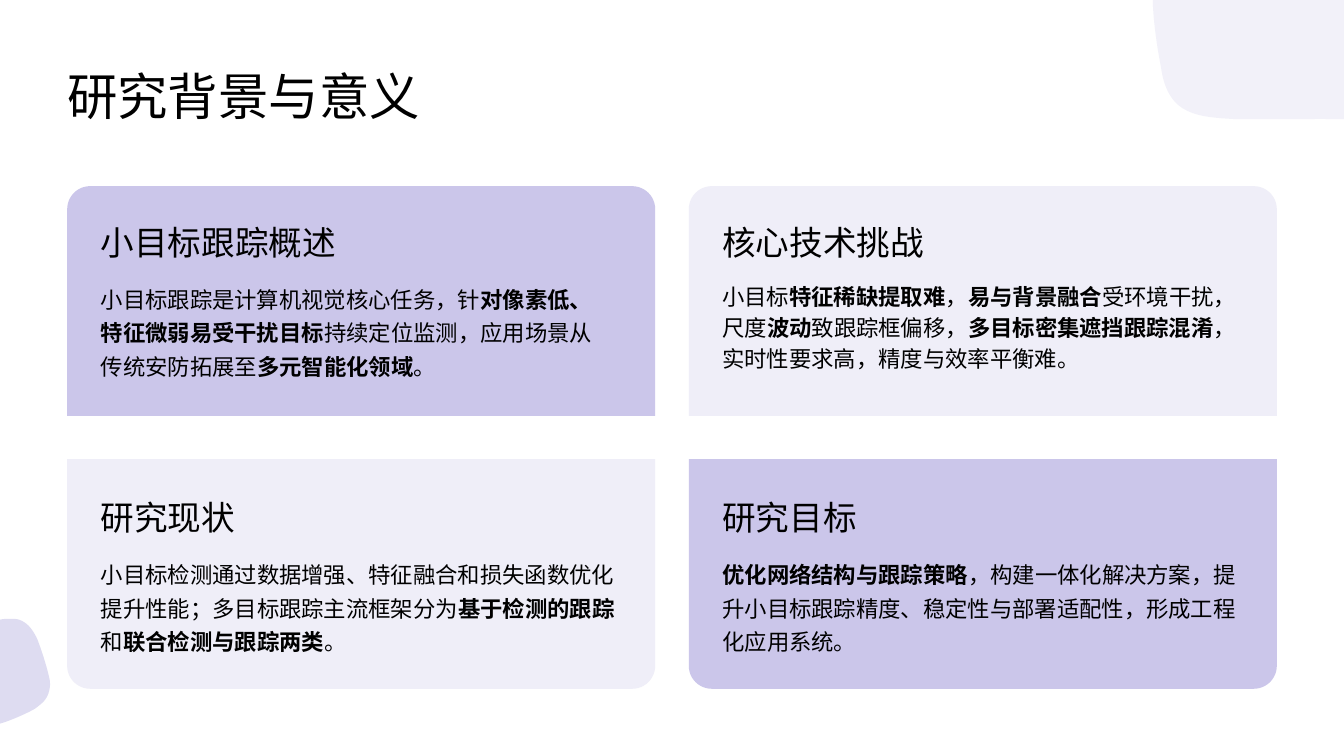
from lxml import etree
from pptx import Presentation
from pptx.dml.color import RGBColor
from pptx.enum import shapes, text
from pptx.oxml.ns import qn
from pptx.util import Pt

WHITE = RGBColor(0xFF, 0xFF, 0xFF)
BLACK = RGBColor(0, 0, 0)
VIOLET = RGBColor(0x5C, 0x52, 0xBA)
LILAC = RGBColor(0xCB, 0xC6, 0xEA)
PALE = RGBColor(0xEF, 0xEE, 0xF8)

SLIDE_W, SLIDE_H = 960, 540
CARD_W, CARD_H = 420, 164
CARD_GAP_X, CARD_GAP_Y = 24, 31
CARDS_LEFT, CARDS_TOP = 48, 133
CORNER = 0.1
CURVE_STEPS = 10

# Outlines in points from the blob's top left: one point is a line, three a Bézier curve.
LEFT_BLOB = [
    [(7.2, 0)],
    [(9.4, 0), (11.5, 0), (13.7, 0.7)],
    [(20.2, 2.9), (23.8, 8.6), (26.6, 14.4)],
    [(30.2, 23.8), (33.1, 33.1), (35.3, 42.5)],
    [(36, 46.1), (36, 49), (34.6, 53.3)],
    [(33.1, 57.6), (31, 59.8), (25.2, 64.1)],
    [(19.4, 67.7), (5.8, 73.4), (0, 74.9)],
    [(0, 0.7)],
    [(2.9, 0), (5, 0), (7.2, 0)],
]
RIGHT_BLOB = [
    [(0, 0)],
    [(136.6, 0)],
    [(136.6, 85)],
    [(120.5, 85), (96, 85), (57.6, 85)],
    [(43.9, 84.2), (28.1, 83.5), (18, 74.9)],
    [(10.1, 67.7), (7.2, 57.6), (5.8, 47.5)],
    [(2.9, 32.4), (0.7, 17.3), (0, 1.4)],
]

# Heading, line spacing, body width, body runs; "**" switches bold on and off.
CARDS = [
    ("小目标跟踪概述", 1.25, 360,
     "小目标跟踪是计算机视觉核心任务，针**对像素低、特征微弱易受干扰目标**"
     "持续定位监测，应用场景从传统安防拓展至**多元智能化领域**。"),
    ("核心技术挑战", 1.15, 360,
     "小目标**特征稀缺提取难**，**易与背景融合**受环境干扰，尺度**波动**致跟踪框偏移，"
     "**多目标密集遮挡跟踪混淆**，实时性要求高，精度与效率平衡难。"),
    ("研究现状", 1.25, 372,
     "小目标检测通过数据增强、特征融合和损失函数优化提升性能；多目标跟踪主流框架分为"
     "**基于检测的跟踪**和**联合检测与跟踪两类**。"),
    ("研究目标", 1.25, 372,
     "**优化网络结构与跟踪策略**，构建一体化解决方案，提升小目标跟踪精度、"
     "稳定性与部署适配性，形成工程化应用系统。"),
]


def paint(shape, color):
    shape.shadow.inherit = False
    shape.fill.solid()
    shape.fill.fore_color.rgb = color
    shape.line.fill.background()


def outline_points(segments):
    """Turn lines and curves into the points of one polygon."""
    points = []
    for segment in segments:
        if len(segment) == 1:
            points += segment
            continue
        corners = [points[-1], *segment]
        for step in range(1, CURVE_STEPS + 1):
            t = step / CURVE_STEPS
            weights = ((1 - t) ** 3, 3 * t * (1 - t) ** 2, 3 * t * t * (1 - t), t ** 3)
            points.append(tuple(sum(w * c[axis] for w, c in zip(weights, corners))
                                for axis in (0, 1)))
    return points


def add_blob(slide, left, top, segments, opacity):
    points = [(Pt(left + x), Pt(top + y)) for x, y in outline_points(segments)]
    builder = slide.shapes.build_freeform(*points[0])
    builder.add_line_segments(points[1:], close=True)
    blob = builder.convert_to_shape()
    paint(blob, VIOLET)
    color = blob.fill._xPr.find(qn("a:solidFill"))[0]
    etree.SubElement(color, qn("a:alpha"), val=str(opacity * 1000))


def add_text(slide, box, wording, size, spacing):
    frame = slide.shapes.add_textbox(*map(Pt, box)).text_frame
    frame_format = {"word_wrap": True, "vertical_anchor": text.MSO_ANCHOR.TOP,
                    "margin_left": 0, "margin_top": 0, "margin_right": 0, "margin_bottom": 0}
    for name, value in frame_format.items():
        setattr(frame, name, value)
    paragraph = frame.paragraphs[0]
    paragraph.line_spacing = spacing
    for index, part in enumerate(wording.split("**")):
        if part:
            run = paragraph.add_run()
            run.text = part
            run_format = {"name": "Arial", "size": Pt(size), "bold": index % 2 == 1}
            for name, value in run_format.items():
                setattr(run.font, name, value)
            run.font.color.rgb = BLACK


def add_card(slide, box, is_top, color, card):
    """Draw a card whose outer corners, above or below, are rounded."""
    heading, spacing, body_width, body = card
    left, top, _, _ = box
    panel = slide.shapes.add_shape(shapes.MSO_SHAPE.ROUND_2_SAME_RECTANGLE, *map(Pt, box))
    panel.adjustments[0] = CORNER if is_top else 0
    panel.adjustments[1] = 0 if is_top else CORNER
    paint(panel, color)
    text_left = left + 24
    heading_top = top + (22.5 if is_top else 24)
    add_text(slide, (text_left, heading_top, 372, 32), heading, 24, 1.11)
    add_text(slide, (text_left, heading_top + 44, body_width, 72), body, 16, spacing)


def add_cards(slide, left, top):
    for index, card in enumerate(CARDS):
        row, column = divmod(index, 2)
        box = (left + column * (CARD_W + CARD_GAP_X), top + row * (CARD_H + CARD_GAP_Y),
               CARD_W, CARD_H)
        add_card(slide, box, row == 0, LILAC if row == column else PALE, card)


def main():
    deck = Presentation()
    deck.slide_width, deck.slide_height = Pt(SLIDE_W), Pt(SLIDE_H)
    slide = deck.slides.add_slide(deck.slide_layouts[6])
    slide.background.fill.solid()
    slide.background.fill.fore_color.rgb = WHITE
    add_blob(slide, 0, 442, LEFT_BLOB, 20)
    add_blob(slide, 823.4, 0, RIGHT_BLOB, 8)
    add_text(slide, (CARDS_LEFT, 42, 864, 48), "研究背景与意义", 36, 1.11)
    add_cards(slide, CARDS_LEFT, CARDS_TOP)
    deck.save("out.pptx")


if __name__ == "__main__":
    main()
